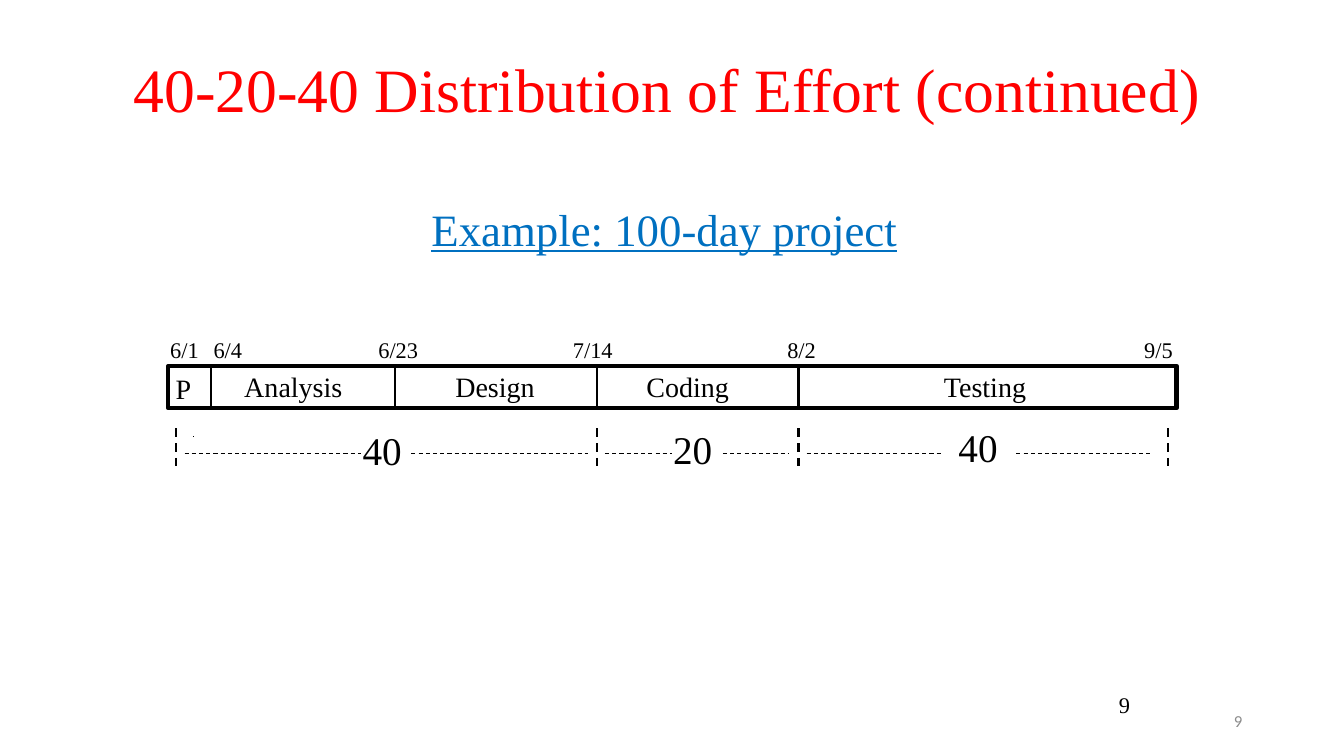
from lxml import etree
from pptx import Presentation
from pptx import util as u
from pptx.dml.color import RGBColor
from pptx.enum import dml, shapes, text
from pptx.oxml.ns import qn

SERIF = "Times New Roman"
LEFT, CENTER, RIGHT = text.PP_ALIGN.LEFT, text.PP_ALIGN.CENTER, text.PP_ALIGN.RIGHT
TOP, MIDDLE = text.MSO_ANCHOR.TOP, text.MSO_ANCHOR.MIDDLE


def color(value):
    return RGBColor.from_string(value)


def write(shape, words, size=20, font=SERIF, fill="000000", align=CENTER,
          anchor=TOP, wrap=True, underline=None, spacing=None):
    frame = shape.text_frame
    frame.word_wrap = wrap
    frame.auto_size = text.MSO_AUTO_SIZE.NONE if wrap else text.MSO_AUTO_SIZE.SHAPE_TO_FIT_TEXT
    frame.vertical_anchor = anchor
    paragraph = frame.paragraphs[0]
    paragraph.alignment = align
    paragraph.line_spacing = spacing
    run = paragraph.add_run()
    run.text = words
    run.font.size = u.Pt(size)
    run.font.name = font
    run.font.color.rgb = color(fill)
    run.font.underline = underline


def add_text(slide, box, words, **style):
    write(slide.shapes.add_textbox(*map(u.Inches, box)), words, **style)


def add_label(slide, center, top, width, height, words, **style):
    add_text(slide, (center - width / 2, top, width, height), words, wrap=False, **style)


def add_line(slide, start, end, width=1.5, dashed=False):
    line = slide.shapes.add_connector(shapes.MSO_CONNECTOR.STRAIGHT,
                                      *map(u.Inches, start + end))
    line.line.color.rgb = color("000000")
    line.line.width = u.Pt(width)
    if dashed:
        line.line.dash_style = dml.MSO_LINE.DASH
    etree.SubElement(line._element.spPr, qn("a:effectLst"))


def add_headings(slide, box):
    left, top, width, height = box
    title = slide.shapes.title
    title.left, title.top, title.width, title.height = map(u.Inches, box)
    write(title, "40-20-40 Distribution of Effort (continued)", size=44,
          fill="FF0000", anchor=MIDDLE)
    add_label(slide, left + width / 2 - 0.03, top + 1.86, 4.9, 0.64,
              "Example: 100-day project", size=32, fill="0070C0", underline=True)


def add_schedule(slide, box):
    left, top, width, height = box
    bar = slide.shapes.add_shape(shapes.MSO_SHAPE.RECTANGLE, *map(u.Inches, box))
    bar.shadow.inherit = False
    bar.fill.background()
    bar.line.color.rgb = color("000000")
    bar.line.width = u.Pt(3)

    for offset in (0.42, 2.25, 4.25, 6.25):
        add_line(slide, (left + offset, top), (left + offset, top + height))

    phases = [("P", 0.15, 0.38), ("Analysis", 1.24, 1.2), ("Design", 3.24, 1.02),
              ("Coding", 5.15, 1.05), ("Testing", 8.1, 1.05)]
    for name, center, label_width in phases:
        drop = 0.01 if name == "P" else -0.01
        add_label(slide, left + center, top + drop, label_width, 0.44, name)

    dates = [("6/1", 0.16), ("6/4", 0.59), ("6/23", 2.28),
             ("7/14", 4.21), ("8/2", 6.28), ("9/5", 9.82)]
    for date, center in dates:
        add_label(slide, left + center, top - 0.34, 0.2 + 0.11 * len(date), 0.37,
                  date, size=16)


def add_effort(slide, box):
    left, top, width, height = box
    middle = top + 0.25
    for offset in (0, 4.17, 6.17, width):
        add_line(slide, (left + offset, top), (left + offset, top + height), dashed=True)

    shares = [("40", 2.04, -0.07, (0.08, 1.83), (2.33, 4.08)),
              ("20", 5.12, -0.08, (4.25, 4.92), (5.42, 6.08)),
              ("40", 7.95, -0.1, (6.25, 7.58), (8.33, 9.67))]
    for share, center, rise, *spans in shares:
        add_label(slide, left + center, top + rise, 0.62, 0.57, share, size=28)
        for start, end in spans:
            add_line(slide, (left + start, middle), (left + end, middle), 0.75, True)

    add_line(slide, (left + 0.17, top + 0.08), (left + 0.17, top + 0.09), 0.75)


def add_page_numbers(slide, box):
    left, top, width, height = box
    add_text(slide, (left, top + 0.12, width, 0.4), "9", size=12, font="Calibri",
             fill="8C8C8C", align=RIGHT, anchor=MIDDLE)
    add_text(slide, (left + 1.58, top, 0.5, 0.5), "9", size=16, align=LEFT, spacing=0.95)


def main():
    presentation = Presentation()
    presentation.slide_width = u.Inches(13.33)
    presentation.slide_height = u.Inches(7.5)
    slide = presentation.slides.add_slide(presentation.slide_layouts.get_by_name("Title Only"))
    add_page_numbers(slide, (9.42, 6.83, 3, 0.52))
    add_headings(slide, (0.71, 0.09, 11.82, 1.57))
    add_schedule(slide, (1.67, 3.63, 10, 0.42))
    add_effort(slide, (1.75, 4.25, 9.83, 0.42))
    presentation.save("out.pptx")


if __name__ == "__main__":
    main()
